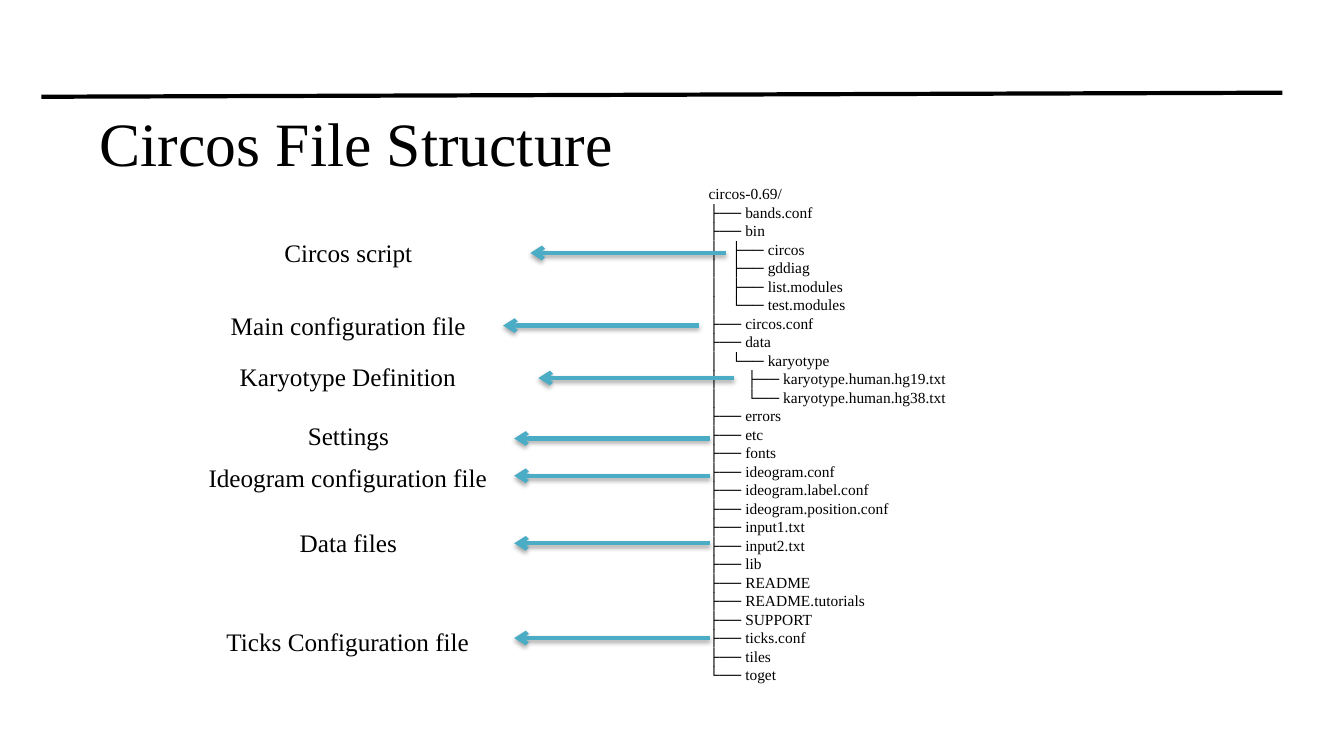
from typing import Iterator, NamedTuple

from lxml.etree import SubElement as Sub
from pptx import Presentation
from pptx.dml.color import RGBColor as Rgb
from pptx.enum.shapes import MSO_CONNECTOR as Conn
from pptx.enum.text import MSO_ANCHOR as Anchor, MSO_AUTO_SIZE as Auto, PP_ALIGN as Align
from pptx.oxml.ns import qn
from pptx.util import Pt

PX = 9144
FACE = "Times New Roman"
HUES = {"ink": "000000", "arrow": "4BACC6", "shade": "000000"}
SHADE = {"blurRad": "40000", "dist": "23000", "dir": "5400000", "rotWithShape": "0"}
MID = 345
REACH = 194


class Note(NamedTuple):
    text: str
    top: int
    wide: int
    tip: int
    row: int


NOTES = [
    Note("Circos script", 231, 195, 526, 251),
    Note("Main configuration file", 303, 257, 499, 323),
    Note("Karyotype Definition", 354, 254, 534, 375),
    Note("Settings", 412, 195, 510, 435),
    Note("Ideogram configuration file", 454, 314, 510, 472),
    Note("Data files", 518, 195, 510, 539),
    Note("Ticks Configuration file", 616, 274, 510, 633),
]

TREE = {
    "bands.conf": {},
    "bin": {"circos": {}, "gddiag": {}, "list.modules": {}, "test.modules": {}},
    "circos.conf": {},
    "data": {"karyotype": {"karyotype.human.hg19.txt": {}, "karyotype.human.hg38.txt": {}}},
    "errors": {},
    "etc": {},
    "fonts": {},
    "ideogram.conf": {},
    "ideogram.label.conf": {},
    "ideogram.position.conf": {},
    "input1.txt": {},
    "input2.txt": {},
    "lib": {},
    "README": {},
    "README.tutorials": {},
    "SUPPORT": {},
    "ticks.conf": {},
    "tiles": {},
    "toget": {},
}


def walk(node: dict, lead: str = "") -> Iterator[str]:
    for rank, (name, kids) in enumerate(node.items(), 1):
        last = rank == len(node)
        yield f"{lead}{'└' if last else '├'}── {name}"
        yield from walk(kids, lead + ("    " if last else "│   "))


def place(shape, left: int, top: int, wide: int, high: int) -> None:
    spot = {"left": left, "top": top, "width": wide, "height": high}
    for key, val in spot.items():
        setattr(shape, key, val * PX)


def write(shape, lines: list[str], size: int, align: Align, gap: float = 1.0) -> None:
    frame = shape.text_frame
    form = {"word_wrap": True, "auto_size": Auto.NONE, "vertical_anchor": Anchor.TOP}
    for key, val in form.items():
        setattr(frame, key, val)
    frame.text = "\n".join(lines)
    for para in frame.paragraphs:
        for key, val in {"alignment": align, "line_spacing": gap}.items():
            setattr(para, key, val)
        for run in para.runs:
            for key, val in {"name": FACE, "size": Pt(size)}.items():
                setattr(run.font, key, val)
            run.font.color.rgb = Rgb.from_string(HUES["ink"])


def box(slide, left: int, top: int, wide: int, high: int):
    return slide.shapes.add_textbox(left * PX, top * PX, wide * PX, high * PX)


def rule(slide, start: tuple[int, int], end: tuple[int, int], hue: str):
    ends = [val * PX for val in (*start, *end)]
    line = slide.shapes.add_connector(Conn.STRAIGHT, *ends)
    line.line.width = Pt(3)
    line.line.color.rgb = Rgb.from_string(HUES[hue])
    return line, Sub(line._element.spPr, qn("a:effectLst"))


def arrow(slide, note: Note) -> None:
    start, end = (note.tip + REACH, note.row), (note.tip, note.row)
    line, glow = rule(slide, start, end, "arrow")
    Sub(line.line._get_or_add_ln(), qn("a:tailEnd"), type="arrow")
    cast = Sub(glow, qn("a:outerShdw"), SHADE)
    tint = Sub(cast, qn("a:srgbClr"), val=HUES["shade"])
    Sub(tint, qn("a:alpha"), val="35000")


def main() -> None:
    deck = Presentation()
    deck.slide_width, deck.slide_height = 1333 * PX, 750 * PX
    slide = deck.slides.add_slide(deck.slide_layouts[5])
    rule(slide, (41, 96), (1272, 92), "ink")
    title = slide.shapes.title
    place(title, 89, 107, 900, 62)
    write(title, ["Circos File Structure"], 44, Align.LEFT, 0.9)
    tree = box(slide, 693, 178, 640, 522)
    write(tree, ["circos-0.69/", *walk(TREE)], 11, Align.LEFT)
    for note in NOTES:
        arrow(slide, note)
        label = box(slide, MID - note.wide // 2, note.top, note.wide, 40)
        write(label, [note.text], 18, Align.CENTER)
    deck.save("out.pptx")


if __name__ == "__main__":
    main()
